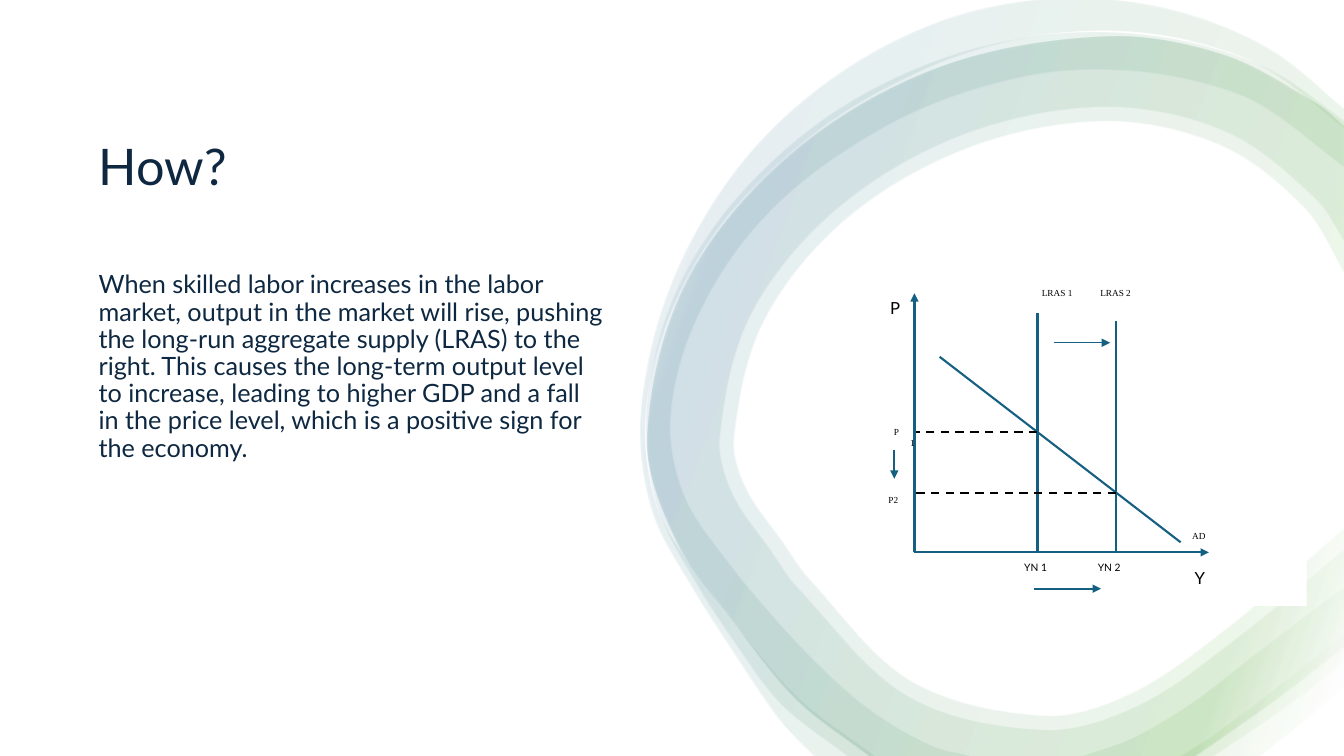
from math import dist

from lxml import etree
from pptx import Presentation
from pptx import util as u
from pptx.dml.color import RGBColor
from pptx.enum import dml, shapes, text
from pptx.oxml.ns import qn

Inches, Pt = u.Inches, u.Pt
WHITE = RGBColor(0xFF, 0xFF, 0xFF)
BLACK = RGBColor(0, 0, 0)
NAVY = RGBColor(0x0E, 0x28, 0x41)
BLUE = RGBColor(0x15, 0x60, 0x82)
GREEN = RGBColor(0x4E, 0xA7, 0x2E)
SANS, SERIF = "Lato", "Times New Roman"

RING_STOPS = [(2, WHITE), (16, GREEN), (85, BLUE), (100, WHITE)]
RING_OPACITY = 10

HALO_OUTER = [(13.33, 1.09), (12.65, 0.53), (11.92, 0.19), (11.12, 0.01), (10.3, 0), (9.49, 0.16),
              (8.74, 0.48), (8.06, 0.93), (7.48, 1.48), (7.01, 2.13), (6.66, 2.84), (6.44, 3.59),
              (6.36, 4.36), (6.5, 5.13), (6.87, 5.82), (7.29, 6.48), (7.74, 7.14), (8.08, 7.5)]
HALO_INNER = [(8.68, 7.5), (7.95, 6.95), (7.45, 6.38), (6.97, 5.76), (6.56, 5.11), (6.41, 4.36),
              (6.5, 3.6), (6.76, 2.88), (7.16, 2.23), (7.68, 1.67), (8.27, 1.19), (8.92, 0.81),
              (9.61, 0.52), (10.34, 0.35), (11.1, 0.31), (11.85, 0.42), (12.56, 0.69), (13.33, 1.28)]
HALO_TAIL_OUTER = [(13.33, 6.81), (12.88, 7.19), (12.49, 7.5)]
HALO_TAIL_INNER = [(11.7, 7.5), (11.99, 7.32), (12.61, 6.86), (13.33, 6.29)]

WIDE_OUTER = [(13.33, 1.21), (12.63, 0.72), (11.9, 0.45), (11.13, 0.33), (10.36, 0.35), (9.61, 0.5),
              (8.89, 0.77), (8.22, 1.15), (7.63, 1.63), (7.12, 2.2), (6.73, 2.85), (6.49, 3.57),
              (6.41, 4.32), (6.54, 5.08), (6.89, 5.76), (7.29, 6.38), (7.75, 6.99), (8.4, 7.5)]
WIDE_INNER = [(9.62, 7.5), (9.24, 7.4), (8.65, 7.06), (8.14, 6.62), (7.66, 6.11), (7.2, 5.55),
              (6.81, 4.97), (6.65, 4.32), (6.74, 3.63), (7, 2.98), (7.38, 2.39), (7.87, 1.88),
              (8.44, 1.46), (9.05, 1.12), (9.72, 0.87), (10.41, 0.72), (11.11, 0.7), (11.81, 0.8),
              (12.47, 1.03), (13.33, 1.67)]
WIDE_TAIL_OUTER = [(13.33, 6.56), (12.76, 7), (12.03, 7.5)]
WIDE_TAIL_INNER = [(10.73, 7.5), (11.23, 7.32), (11.82, 6.97), (12.39, 6.53), (12.97, 6.09),
                   (13.33, 5.82)]

CORE_OUTER = [(13.33, 1.27), (13.07, 1.05), (12.12, 0.55), (10.96, 0.37), (9.3, 0.68), (7.85, 1.53),
              (6.81, 2.8), (6.42, 4.34), (6.7, 5.35), (7.32, 6.23), (7.91, 6.95), (8.62, 7.5)]
CORE_TAIL = [(11.85, 7.5), (12.66, 6.93), (13.33, 6.41)]
CORE_INNER = [(13.33, 5.45), (12.21, 6.37), (11.28, 7), (10.36, 7.24), (9.01, 6.91), (7.91, 5.83),
              (7.65, 5.47), (7.26, 4.89), (7.14, 4.34), (7.45, 3.12), (8.31, 2.07), (9.56, 1.34),
              (10.96, 1.07), (12.16, 1.32), (13.04, 1.98), (13.33, 2.41)]
THICK_INNER = [(13.33, 5.24), (12.13, 6.26), (11.21, 6.88), (10.36, 7.1), (9.04, 6.76), (8.03, 5.75),
               (7.77, 5.39), (7.39, 4.83), (7.28, 4.34), (7.58, 3.18), (8.4, 2.17), (9.61, 1.47),
               (10.96, 1.21), (12.1, 1.45), (12.93, 2.07), (13.33, 2.72)]

RING_BANDS = [
    [[HALO_OUTER, HALO_INNER], [HALO_TAIL_OUTER, HALO_TAIL_INNER]],
    [[WIDE_OUTER, WIDE_INNER], [WIDE_TAIL_OUTER, WIDE_TAIL_INNER]],
    [[CORE_OUTER, CORE_TAIL, CORE_INNER]],
    [[CORE_OUTER, CORE_TAIL, THICK_INNER]],
]


def curve_handles(points):
    padded = [points[0], *points, points[-1]]
    handles = []
    for a, b, c, d in zip(padded, padded[1:], padded[2:], padded[3:]):
        length = dist(b, c)
        leave = length / (dist(a, b) + length) / 3
        arrive = length / (length + dist(c, d)) / 3
        handles.append(((b[0] + (c[0] - a[0]) * leave, b[1] + (c[1] - a[1]) * leave),
                        (c[0] - (d[0] - b[0]) * arrive, c[1] - (d[1] - b[1]) * arrive)))
    return handles


def bend_segments(shape, handles, left, top):
    segments = list(shape._element.iter(qn("a:lnTo")))
    for segment, pair in zip(segments, handles):
        if pair is None:
            continue
        segment.tag = qn("a:cubicBezTo")
        for index, (x, y) in enumerate(pair):
            point = etree.Element(qn("a:pt"), x=str(Inches(left + x) - shape.left),
                                  y=str(Inches(top + y) - shape.top))
            segment.insert(index, point)


def fill_ring_gradient(shape):
    shape.fill.gradient()
    shape.fill.gradient_angle = 160
    stops = shape._element.spPr.find(qn("a:gradFill")).find(qn("a:gsLst"))
    for stop in list(stops):
        stops.remove(stop)
    for position, color in RING_STOPS:
        stop = etree.SubElement(stops, qn("a:gs"), pos=str(position * 1000))
        value = etree.SubElement(stop, qn("a:srgbClr"), val=str(color))
        etree.SubElement(value, qn("a:alpha"), val=str(RING_OPACITY * 1000))


def add_ring(slide, left, top):
    for band in RING_BANDS:
        builder, handles = None, []
        for loop in band:
            outline = [(Inches(left + x), Inches(top + y)) for curve in loop for x, y in curve]
            if builder is None:
                builder = slide.shapes.build_freeform(*outline[0])
            else:
                builder.move_to(*outline[0])
            builder.add_line_segments(outline[1:], close=True)
            for index, curve in enumerate(loop):
                handles += [None] * (index > 0) + curve_handles(curve)
        shape = builder.convert_to_shape()
        bend_segments(shape, handles, left, top)
        shape.shadow.inherit = False
        shape.line.fill.background()
        fill_ring_gradient(shape)


def add_white_panel(slide, box):
    panel = slide.shapes.add_shape(shapes.MSO_SHAPE.RECTANGLE, *map(Inches, box))
    panel.shadow.inherit = False
    panel.fill.solid()
    panel.fill.fore_color.rgb = WHITE
    panel.line.fill.background()
    return panel


def format_paragraph(paragraph, font, size, color, spacing=None):
    paragraph.line_spacing = spacing
    for run in paragraph.runs:
        run.font.name = font
        run.font.size = Pt(size)
        run.font.color.rgb = color


def add_text(slide, box, words, font, size, color, spacing=None):
    shape = slide.shapes.add_textbox(*map(Inches, box))
    shape.text_frame.word_wrap = True
    shape.text_frame.text = words
    paragraph = shape.text_frame.paragraphs[0]
    paragraph.space_after = Pt(6)
    format_paragraph(paragraph, font, size, color, spacing)
    return paragraph


def add_line(slide, start, end, color=BLUE, width=1.5, arrow=False, dashed=False):
    line = slide.shapes.add_connector(shapes.MSO_CONNECTOR.STRAIGHT,
                                      *map(Inches, (*start, *end)))
    line.line.color.rgb = color
    line.line.width = Pt(width)
    if dashed:
        line.line.dash_style = dml.MSO_LINE.DASH
    if arrow:
        etree.SubElement(line.line._get_or_add_ln(), qn("a:tailEnd"), type="triangle")
    etree.SubElement(line._element.spPr, qn("a:effectLst"))


def add_explanation(slide, left, top, width):
    title = slide.shapes.title
    title.left, title.top, title.width, title.height = map(Inches, (left, top, width, 1.59))
    title.text_frame.text = "How?"
    title.text_frame.vertical_anchor = text.MSO_ANCHOR.MIDDLE
    paragraph = title.text_frame.paragraphs[0]
    paragraph.alignment = text.PP_ALIGN.LEFT
    format_paragraph(paragraph, SANS, 36, NAVY, 0.9)
    add_text(slide, (left, top + 1.77, width, 3.67),
             "When skilled labor increases in the labor market, output in the market will rise, "
             "pushing the long-run aggregate supply (LRAS) to the right. This causes the long-term "
             "output level to increase, leading to higher GDP and a fall in the price level, which "
             "is a positive sign for the economy.", SANS, 18, NAVY, 0.9)


def add_supply_diagram(slide, left, top):
    add_white_panel(slide, (left, top, 4.53, 3.51))

    def at(x, y):
        return left + 0.64 + x, top + 2.98 - y

    output_1, output_2, price_1, price_2 = 1.22, 2, 1.19, 0.59
    for start, end in (((output_1, 2.37), (output_1, 0)), ((output_2, 0), (output_2, 2.3)),
                       ((0.25, 1.94), (2.64, 0.1))):
        add_line(slide, at(*start), at(*end))
    for output, price in ((output_1, price_1), (output_2, price_2)):
        add_line(slide, at(output, price), at(0, price), BLACK, dashed=True)
    for start, end, width in (((0, 0), (0, 2.57), 1.5), ((0, 0), (2.92, 0), 1.5),
                              ((1.38, 2.08), (1.94, 2.08), 1), ((-0.2, 1.02), (-0.2, 0.73), 1.5),
                              ((1.19, -0.36), (1.85, -0.36), 1.5)):
        add_line(slide, at(*start), at(*end), width=width, arrow=True)

    for words, x, y, width, height in (
            ("LRAS 1", 0.9, 2.68, 1.03, 0.38), ("LRAS 2", 1.48, 2.68, 1.03, 0.38),
            ("AD", 2.46, 0.27, 0.72, 0.47), ("P1", -0.32, 1.3, 0.28, 0.23),
            ("P2", -0.37, 0.63, 0.32, 0.23)):
        paragraph = add_text(slide, (*at(x, y), width, height), words, SERIF, 6.6, BLACK)
        paragraph.alignment = text.PP_ALIGN.CENTER
        properties = paragraph._p.get_or_add_pPr()
        properties.set("marL", str(Inches(0.2)))
        properties.set("indent", str(Inches(-0.2)))

    for words, x, y, width, height, size in (
            ("P", -0.34, 2.57, 0.25, 0.27, 11.9), ("Y", 2.68, -0.1, 0.34, 0.27, 11.9),
            ("YN 1", 0.99, -0.04, 0.47, 0.19, 7.3), ("YN 2", 1.72, -0.04, 0.47, 0.19, 7.3)):
        add_text(slide, (*at(x, y), width, height), words, SANS, size, BLACK)


def main():
    presentation = Presentation()
    presentation.slide_width, presentation.slide_height = Inches(13.33), Inches(7.5)
    slide = presentation.slides.add_slide(presentation.slide_layouts[5])
    backdrop = add_white_panel(slide, (0, 0, 13.33, 7.5))
    slide.shapes.title._element.addprevious(backdrop._element)
    add_explanation(slide, 0.88, 0.88, 5.21)
    add_ring(slide, 0, 0)
    add_supply_diagram(slide, 8.43, 2.5)
    presentation.save("out.pptx")


if __name__ == "__main__":
    main()
